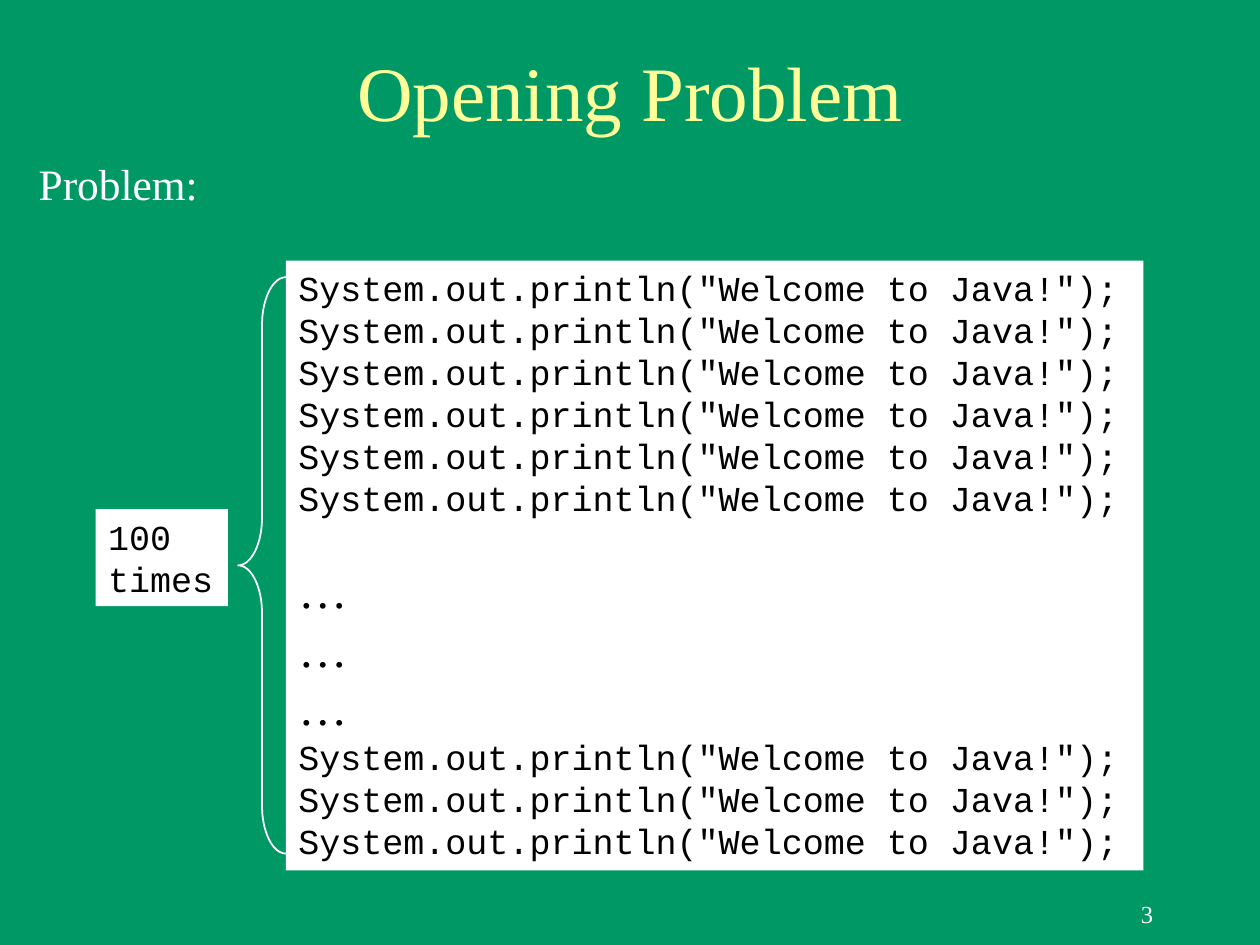
from dataclasses import dataclass

from pptx import Presentation
from pptx.dml.color import RGBColor
from pptx.enum.shapes import MSO_SHAPE
from pptx.enum.text import MSO_ANCHOR, PP_ALIGN
from pptx.util import Pt


@dataclass(frozen=True)
class Theme:
    background: RGBColor = RGBColor(0x00, 0x99, 0x66)
    title: RGBColor = RGBColor(0xFF, 0xFF, 0x99)
    light: RGBColor = RGBColor(0xFF, 0xFF, 0xFF)
    dark: RGBColor = RGBColor(0x00, 0x00, 0x00)
    serif: str = "Times New Roman"
    mono: str = "Courier New"
    title_size: float = 44
    ellipsis_size: float = 28
    body_size: float = 24.8
    code_size: float = 20
    number_size: float = 14


class SlideBuilder:
    def __init__(self, slide, theme):
        self.slide = slide
        self.theme = theme
        slide.background.fill.solid()
        slide.background.fill.fore_color.rgb = theme.background

    def style(self, paragraph, size, font, color, align=PP_ALIGN.LEFT, before=0):
        paragraph.alignment = align
        paragraph.space_before = Pt(before)
        paragraph.font.size = Pt(size)
        paragraph.font.name = font
        paragraph.font.color.rgb = color

    def label(self, box, text, size, color, align=PP_ALIGN.LEFT,
              anchor=MSO_ANCHOR.TOP, before=0):
        frame = self.slide.shapes.add_textbox(*map(Pt, box)).text_frame
        frame.word_wrap = True
        frame.vertical_anchor = anchor
        frame.text = text
        self.style(frame.paragraphs[0], size, self.theme.serif, color, align, before)

    def code_panel(self, box, lines, gap=0):
        """White panel of code; gap is the space above the first ellipsis."""
        panel = self.slide.shapes.add_shape(MSO_SHAPE.RECTANGLE, *map(Pt, box))
        panel.shadow.inherit = False
        panel.fill.solid()
        panel.fill.fore_color.rgb = self.theme.light
        panel.line.fill.background()
        frame = panel.text_frame
        frame.word_wrap = True
        frame.vertical_anchor = MSO_ANCHOR.TOP
        frame.text = "\n".join(lines)
        for paragraph in frame.paragraphs:
            if paragraph.text == "…":
                self.style(paragraph, self.theme.ellipsis_size, self.theme.serif,
                           self.theme.dark, before=gap)
                gap = 0
            else:
                self.style(paragraph, self.theme.code_size, self.theme.mono,
                           self.theme.dark)

    def brace(self, box):
        brace = self.slide.shapes.add_shape(MSO_SHAPE.LEFT_BRACE, *map(Pt, box))
        brace.shadow.inherit = False
        brace.adjustments[0] = 1
        brace.adjustments[1] = 0.5
        brace.fill.background()
        brace.line.color.rgb = self.theme.light
        brace.line.width = Pt(1)


def main():
    presentation = Presentation()
    presentation.slide_width, presentation.slide_height = Pt(720), Pt(540)
    theme = Theme()
    builder = SlideBuilder(
        presentation.slides.add_slide(presentation.slide_layouts[6]), theme)

    # Slide number, title and lead-in
    builder.label((516, 504, 150, 36), "3", theme.number_size, theme.light,
                  PP_ALIGN.RIGHT, MSO_ANCHOR.MIDDLE)
    builder.label((54, 18, 612, 68), "Opening Problem", theme.title_size,
                  theme.title, PP_ALIGN.CENTER, MSO_ANCHOR.MIDDLE)
    builder.label((15, 86, 686, 40), "Problem:", theme.body_size, theme.light,
                  before=8)

    # Repeated statements, with the count bracketed on the left
    statement = 'System.out.println("Welcome to Java!");'
    builder.code_panel((163.4, 149, 490, 348.5),
                       [statement] * 6 + ["…"] * 3 + [statement] * 3, gap=23)
    builder.brace((136.1, 158.4, 27.3, 329.4))
    builder.code_panel((54.7, 291, 75.6, 55.4), ["100 times"])

    presentation.save("out.pptx")


if __name__ == "__main__":
    main()
